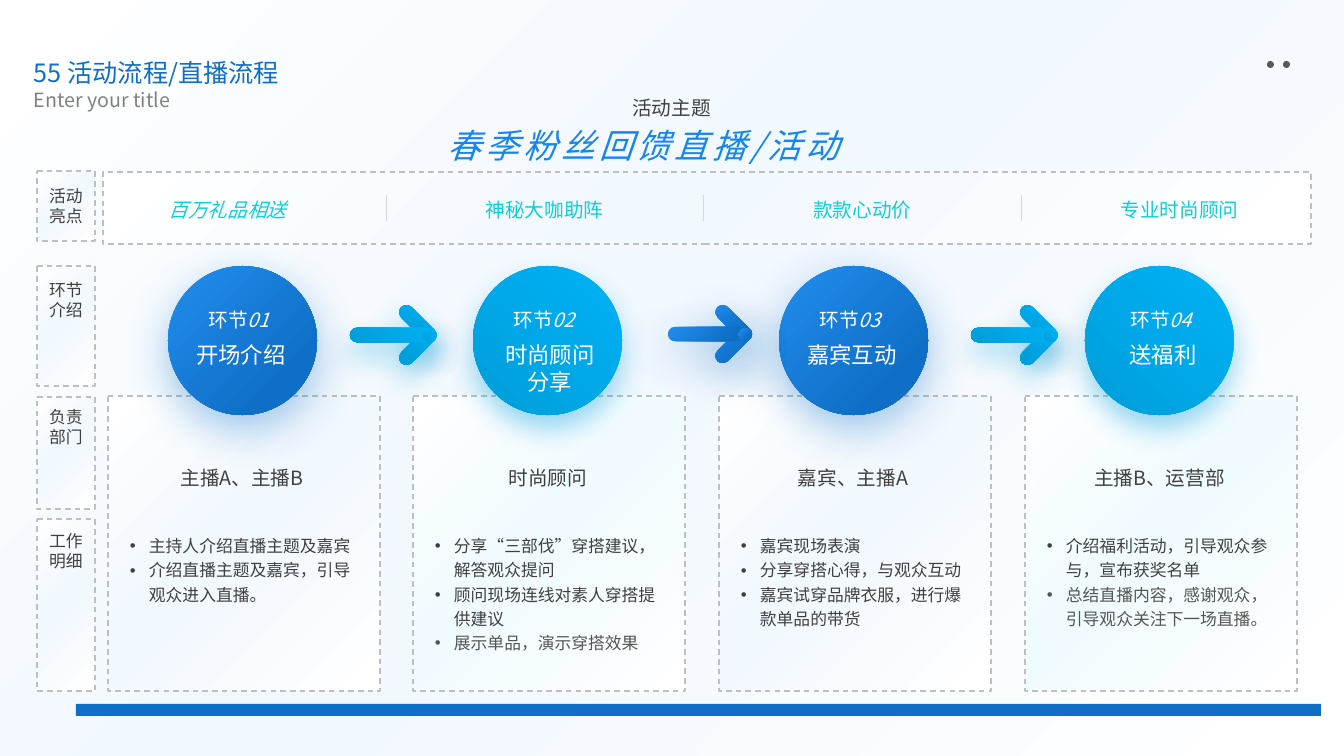
from pptx import Presentation
from pptx.dml.color import RGBColor
from pptx.enum.dml import MSO_LINE
from pptx.enum.shapes import MSO_CONNECTOR, MSO_SHAPE
from pptx.enum.text import MSO_AUTO_SIZE, PP_ALIGN
from pptx.oxml import parse_xml
from pptx.oxml.ns import nsdecls, qn
from pptx.util import Pt

RECT, ROUND, OVAL = MSO_SHAPE.RECTANGLE, MSO_SHAPE.ROUNDED_RECTANGLE, MSO_SHAPE.OVAL
DASH, LINE = MSO_LINE.DASH, MSO_CONNECTOR.STRAIGHT
LEFT, MID, JUST = PP_ALIGN.LEFT, PP_ALIGN.CENTER, PP_ALIGN.JUSTIFY

# Content
TITLE, SUB = "55 活动流程/直播流程", "Enter your title"
TOPIC, HEAD = "活动主题", "春季粉丝回馈直播/活动"
PERKS = ["百万礼品相送", "神秘大咖助阵", "款款心动价", "专业时尚顾问"]
# label lines, frame top, frame height, text top
ROWS = [
    (["活动", "亮点"], 171, 70, 181),
    (["环节", "介绍"], 266, 120, 275),
    (["负责", "部门"], 397, 112, 402),
    (["工作", "明细"], 519, 172, 526),
]
# number, name, team, tasks, then offsets from the card: number, name, team, team width
STEPS = [
    ("01", "开场介绍", "主播A、主播B",
     ["主持人介绍直播主题及嘉宾", "介绍直播主题及嘉宾，引导观众进入直播。"], 70, 72, 60, 148),
    ("02", "时尚顾问分享", "时尚顾问",
     ["分享“三部伐”穿搭建议，解答观众提问", "顾问现场连线对素人穿搭提供建议",
      [("展示单品，演示穿搭效果", {"color": "555555"})]], 70, 76, 61, 148),
    ("03", "嘉宾互动", "嘉宾、主播A",
     ["嘉宾现场表演", "分享穿搭心得，与观众互动", "嘉宾试穿品牌衣服，进行爆款单品的带货"],
     70, 72, 60, 148),
    ("04", "送福利", "主播B、运营部",
     ["介绍福利活动，引导观众参与，宣布获奖名单",
      [("总结直播内容，感谢观众，引导观众关注下一场直播。", {"color": "555555"})]],
     75, 77, 27, 215),
]
ARROWS = [(350, 335, 87, "cyan"), (668, 334, 84, "blue"), (971, 335, 87, "cyan")]

# Theme: a gradient is its stops and the l, t, r, b of its focus
THEME = {
    "font": "Noto Sans CJK SC",
    "blue": "0F6FC6", "aqua": "0BD0D9", "dark": "404040", "gray": "808080",
    "dot": "595959", "edge": "BFBFBF", "rule": "D9D9D9", "white": "FFFFFF",
    "head": ("1486ED", "0F6FC6"),
    "big": 24, "title": 18, "name": 16, "mid": 14, "small": 12,
    "grad": {
        "mist": ([(0, "FFFFFF"), (46, "F1F8FE"), (100, "FFFFFF")], (0, 0, 100, 100)),
        "ice": ([(0, "FFFFFF"), (46, "F0FBFF"), (100, "FFFFFF")], (0, 0, 100, 100)),
        "blue": ([(23, "0F6FC6"), (100, "228DEE")], (100, 100, 0, 0)),
        "cyan": ([(0, "009DD9"), (100, "00B2F6")], (0, 100, 100, 0)),
    },
    "glow": {"blue": ("0F6FC6", 32.4), "cyan": ("009DD9", 20)},
}
UNIT = 914400 / 100.8

deck = Presentation()


def px(n):
    return round(n * UNIT)


deck.slide_width, deck.slide_height = px(1344), px(756)
page = deck.slides.add_slide(deck.slide_layouts[6])


def rgb(code):
    return RGBColor.from_string(code)


def draw(kind, x, y, w, h, grad=None, fill=None, edge=False, glow=None,
         turn=0, curve=None, home=page):
    item = home.shapes.add_shape(kind, px(x), px(y), px(w), px(h))
    props = item._element.spPr
    if grad:
        stops, focus = THEME["grad"][grad]
        marks = "".join(f'<a:gs pos="{at * 1000}"><a:srgbClr val="{code}"/></a:gs>'
                        for at, code in stops)
        sides = " ".join(f'{side}="{n * 1000}"' for side, n in zip("ltrb", focus))
        props.append(parse_xml(
            f'<a:gradFill {nsdecls("a")} rotWithShape="1"><a:gsLst>{marks}</a:gsLst>'
            f'<a:path path="circle"><a:fillToRect {sides}/></a:path></a:gradFill>'))
    else:
        item.fill.solid()
        item.fill.fore_color.rgb = rgb(fill)
    if edge:
        item.line.color.rgb = rgb(THEME["edge"])
        item.line.width, item.line.dash_style = Pt(1), DASH
    else:
        item.line.fill.background()
    item.shadow.inherit = False
    if glow:
        code, blur = THEME["glow"][glow]
        props.find(qn("a:effectLst")).append(parse_xml(
            f'<a:outerShdw {nsdecls("a")} blurRad="{Pt(blur)}" dist="{Pt(9.7)}" '
            f'dir="5400000" algn="t" rotWithShape="0"><a:srgbClr val="{code}">'
            '<a:alpha val="40000"/></a:srgbClr></a:outerShdw>'))
    if curve is not None:
        item.adjustments[0] = curve
    item.rotation = turn


def style(run, size, color, slant=False, space=0):
    font = run.font
    font.size, font.name = Pt(size), THEME["font"]
    if slant:
        font.italic = True
    if isinstance(color, tuple):
        font.fill.gradient()
        font.fill.gradient_angle = 270
        for stop, code in zip(font.fill.gradient_stops, color):
            stop.color.rgb = rgb(code)
    else:
        font.color.rgb = rgb(color)
    props = run._r.get_or_add_rPr()
    if space:
        props.set("spc", str(space * 100))
    props.find(qn("a:latin")).addnext(
        parse_xml(f'<a:ea {nsdecls("a")} typeface="{THEME["font"]}"/>'))


def write(x, y, w, h, lines, align=MID, lead=None, bullet=False, **look):
    frame = page.shapes.add_textbox(px(x), px(y), px(w), px(h)).text_frame
    frame.word_wrap, frame.auto_size = True, MSO_AUTO_SIZE.SHAPE_TO_FIT_TEXT
    for i, line in enumerate(lines):
        para = frame.add_paragraph() if i else frame.paragraphs[0]
        if bullet:
            props = para._p.get_or_add_pPr()
            props.set("marL", str(px(19)))
            props.set("indent", str(-px(19)))
            props.append(parse_xml(f'<a:buFont {nsdecls("a")} typeface="Arial"/>'))
            props.append(parse_xml(f'<a:buChar {nsdecls("a")} char="•"/>'))
        para.alignment = align
        if lead:
            para.line_spacing = lead
        for text, extra in [(line, {})] if isinstance(line, str) else line:
            run = para.add_run()
            run.text = text
            style(run, **{**look, **extra})


def arrow(x, y, w, tone):
    home = page.shapes.add_group_shape()
    thick, wing = 0.17 * w, 0.54 * w
    look = {"grad": tone, "glow": tone, "home": home}
    for sign, turn in ((-1, 45), (1, 135)):
        draw(ROUND, x + 0.51 * w, y + sign * 0.13 * w - thick / 2, wing, thick,
             turn=turn, curve=0.5, **look)
    draw(ROUND, x, y - thick / 2, w, thick, curve=0.5, **look)
    draw(OVAL, x + 0.84 * w, y - 6, 13, 13, **look)


# Backdrop, side frames and base bar
draw(RECT, 0, 0, 1344, 756, grad="mist")
for _, top, high, _ in ROWS:
    draw(ROUND, 37, top, 58, high, grad="mist", edge=True, curve=0)
draw(RECT, 76, 704, 1245, 12, fill=THEME["blue"])

# Titles
write(438, 120, 470, 50, [HEAD], align=JUST, size=THEME["big"], color=THEME["head"],
      slant=True, space=3)
write(24, 52, 470, 40, [TITLE], align=LEFT, size=THEME["title"], color=THEME["blue"])
write(24, 83, 288, 34, [SUB], align=LEFT, size=THEME["mid"], color=THEME["gray"])
write(616, 91, 111, 33, [TOPIC], size=THEME["mid"], color=THEME["dark"])
for x in (1267, 1283):
    draw(OVAL, x, 61, 7, 7, fill=THEME["dot"])

# Perks strip
draw(RECT, 103, 172, 1208, 72, grad="mist", edge=True)
for i, perk in enumerate(PERKS):
    shift = 635 * i // 2
    write(121 + shift, 193, 213, 34, [perk], size=THEME["mid"], color=THEME["aqua"],
          slant=i == 0)
    if i < len(PERKS) - 1:
        rule = page.shapes.add_connector(LINE, px(386 + shift), px(195),
                                         px(386 + shift), px(221))
        rule.line.color.rgb, rule.line.width = rgb(THEME["rule"]), Pt(0.5)
        rule._element.spPr.append(parse_xml(f'<a:effectLst {nsdecls("a")}/>'))

# Step cards
for i, (num, name, team, tasks, dx_num, dx_name, dx_team, wide) in enumerate(STEPS):
    x = 108 + 917 * i // 3
    tone, pale = ("cyan", "ice") if i % 2 else ("blue", "mist")
    draw(ROUND, x, 396, 272, 295, grad=pale, edge=True, curve=0)
    draw(OVAL, x + 60, 266, 149, 149, grad=tone, glow=tone)
    write(x + dx_num, 303, 122, 34, [[("环节", {}), (num, {"slant": True})]],
          size=THEME["mid"], color=THEME["white"])
    write(x + dx_name, 336, 122, 37, [name], size=THEME["name"], color=THEME["white"])
    write(x + dx_team, 456, wide, 36, [team], lead=1.2, size=THEME["mid"],
          color=THEME["dark"])
    write(x + 12, 527, 241, 106, tasks, align=LEFT, lead=1.2, bullet=True,
          size=THEME["small"], color=THEME["dark"])

# Arrows between steps
for spot in ARROWS:
    arrow(*spot)

# Row labels, as wide as their frames
for lines, _, _, y in ROWS:
    write(37, y, 58, 50, lines, size=THEME["small"], color=THEME["dark"])

deck.save("out.pptx")
